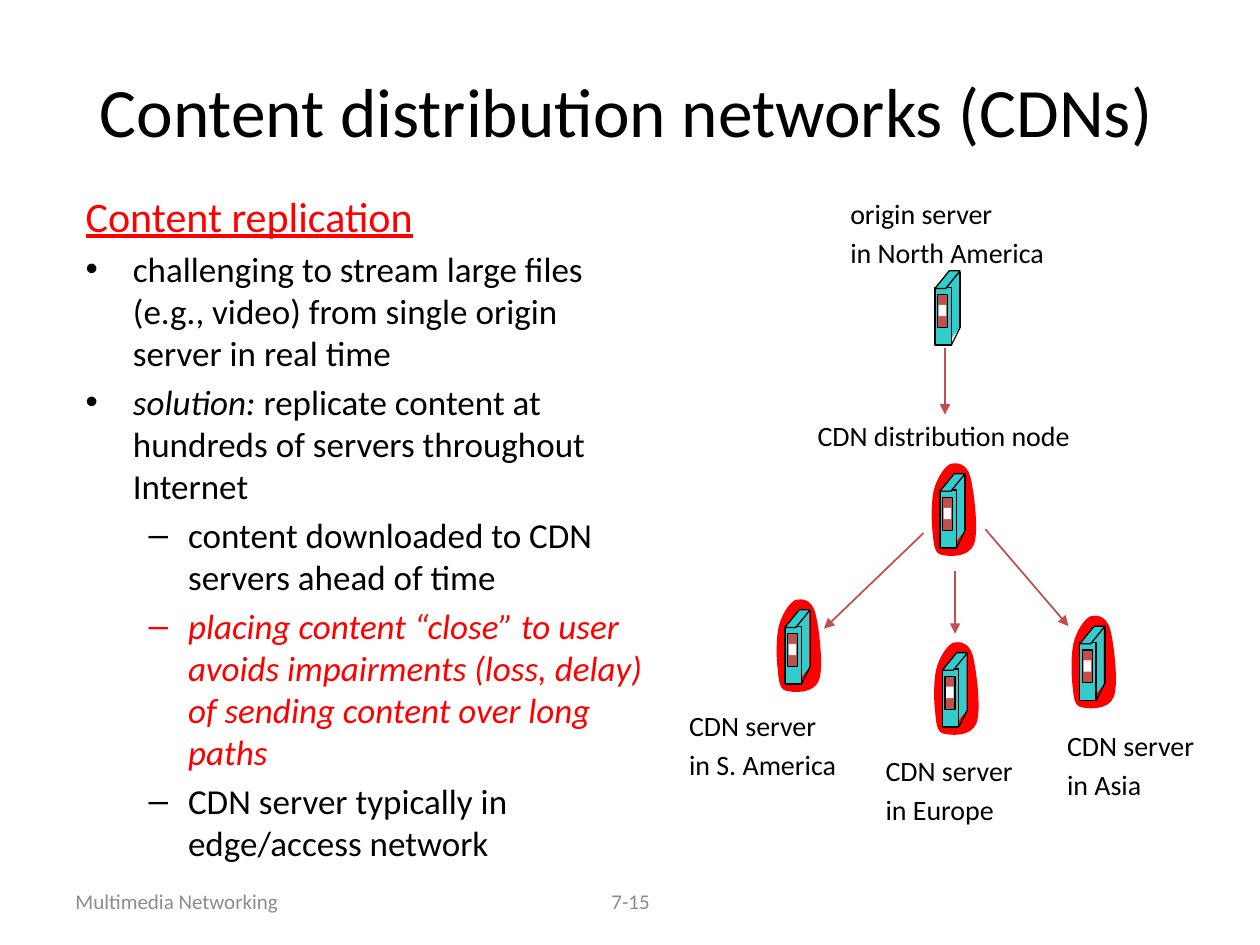
from dataclasses import dataclass
from typing import NamedTuple

from lxml.etree import SubElement
from pptx import Presentation
from pptx.dml.color import RGBColor as RGB
from pptx.enum.shapes import MSO_CONNECTOR as Link, MSO_SHAPE as Kind
from pptx.enum.text import MSO_ANCHOR as Anchor, MSO_AUTO_SIZE as Fit, PP_ALIGN as Align
from pptx.oxml.ns import qn
from pptx.util import Emu, Pt

SCALE = 9144  # EMU per px, 100 px to the inch


@dataclass(frozen=True)
class Theme:
    font: str = "Calibri"
    ink: RGB = RGB(0, 0, 0)
    red: RGB = RGB(255, 0, 0)
    teal: RGB = RGB(0x33, 0xCC, 0xCC)
    brick: RGB = RGB(0xC0, 0x50, 0x4D)
    white: RGB = RGB(255, 255, 255)
    gray: RGB = RGB(0x8C, 0x8C, 0x8C)
    title: float = 39.6
    head: float = 24
    body: float = 20
    label: float = 16
    foot: float = 12
    edge: float = 0.75
    arrow: float = 1


T = Theme()


class Box(NamedTuple):
    x: int
    y: int
    w: int
    h: int


class Run(NamedTuple):
    text: str
    size: float = T.body
    color: RGB = T.ink
    italic: bool = False
    line: bool = False


class Item(NamedTuple):
    runs: list[Run]
    level: int = 0


class Part(NamedTuple):
    kind: Kind
    box: Box
    fill: RGB
    edge: bool = False


class Node(NamedTuple):
    x: int
    y: int
    ring: bool = True


class Label(NamedTuple):
    box: Box
    lines: list[str]


SLANT, RECT = Kind.PARALLELOGRAM, Kind.RECTANGLE
BACK = [
    Part(SLANT, Box(7, 54, 20, 14), T.teal),
    Part(RECT, Box(17, 9, 9, 46), T.teal),
    Part(RECT, Box(7, 22, 13, 46), T.teal, True),
    Part(SLANT, Box(7, 9, 20, 14), T.teal, True),
]
EDGES = [(27, 10, 27, 54), (27, 54, 20, 68)]
FRONT = [
    Part(RECT, Box(9, 28, 8, 26), T.brick, True),
    Part(RECT, Box(10, 36, 6, 9), T.white),
]
START = (3, 19)
CURVES = [
    ((6, 10), (12, 2), (16, 1)),
    ((21, 0), (28, 1), (31, 11)),
    ((34, 22), (38, 55), (34, 65)),
    ((30, 76), (13, 75), (7, 73)),
    ((2, 71), (2, 63), (1, 54)),
    ((0, 45), (0, 27), START),
]
NODES = [Node(735, 206, False), Node(616, 475), Node(741, 509),
         Node(850, 488), Node(739, 367)]
ARROWS = [(750, 276, 750, 329), (733, 423, 654, 499),
          (758, 453, 758, 503), (782, 420, 848, 497)]
LABELS = [
    Label(Box(665, 151, 200, 69), ["origin server", "in North America"]),
    Label(Box(639, 327, 251, 37), ["CDN distribution node"]),
    Label(Box(537, 557, 158, 69), ["CDN server", "in S. America"]),
    Label(Box(693, 593, 141, 69), ["CDN server", "in Europe"]),
    Label(Box(837, 573, 141, 69), ["CDN server", "in Asia"]),
]
ITEMS = [
    Item([Run("Content replication", T.head, T.red, line=True)]),
    Item([Run("challenging to stream large files (e.g., video) from single "
              "origin server in real time")]),
    Item([Run("solution:", italic=True),
          Run(" replicate content at hundreds of servers throughout Internet")]),
    Item([Run("content downloaded to CDN servers ahead of time")], 1),
    Item([Run("placing content “close” to user avoids impairments (loss, delay) "
              "of sending content over long paths", color=T.red, italic=True)], 1),
    Item([Run("CDN server typically in edge/access network")], 1),
]


def px(*nums: float) -> list[Emu]:
    return [Emu(round(n * SCALE)) for n in nums]


def place(shape, box: Box) -> None:
    shape.left, shape.top, shape.width, shape.height = px(*box)


def write(frame, items: list[Item]) -> None:
    frame.word_wrap, frame.auto_size = True, Fit.NONE
    for i, item in enumerate(items):
        para = frame.add_paragraph() if i else frame.paragraphs[0]
        para.level = item.level
        for run in item.runs:
            part = para.add_run()
            part.text = run.text
            font = part.font
            font.name, font.size = T.font, Pt(run.size)
            font.color.rgb = run.color
            font.italic, font.underline = run.italic, run.line


def note(shapes, box: Box, lines: list[str], size: float, color: RGB):
    frame = shapes.add_textbox(*px(*box)).text_frame
    write(frame, [Item([Run(line, size, color)]) for line in lines])
    return frame


def stroke(shapes, ends: tuple, color: RGB, width: float, head: bool = False) -> None:
    line = shapes.add_connector(Link.STRAIGHT, *px(*ends))
    line.line.color.rgb, line.line.width = color, Pt(width)
    if head:
        SubElement(line.line._get_or_add_ln(), qn("a:tailEnd"), type="triangle")
    SubElement(line._element.spPr, qn("a:effectLst"))


def paint(shape, fill: RGB, edge: bool = False) -> None:
    shape.shadow.inherit = False
    shape.fill.solid()
    shape.fill.fore_color.rgb = fill
    if edge:
        shape.line.color.rgb, shape.line.width = T.ink, Pt(T.edge)
    else:
        shape.line.fill.background()


def ring(shapes, node: Node) -> None:
    """Draw the red blob, turning each three line points into one curve."""
    def spot(dot: tuple[int, int]) -> list[Emu]:
        return px(node.x + dot[0], node.y + dot[1])

    pen = shapes.build_freeform(*spot(START))
    pen.add_line_segments([spot(dot) for curve in CURVES for dot in curve])
    shape = pen.convert_to_shape()
    outline = next(shape._element.iter(qn("a:path")))
    lines = outline.findall(qn("a:lnTo"))
    for i in range(0, len(lines), 3):
        bend = SubElement(outline, qn("a:cubicBezTo"))
        for line in lines[i:i + 3]:
            bend.append(line[0])
            outline.remove(line)
    for end in outline.findall(qn("a:close")):
        outline.remove(end)
    SubElement(outline, qn("a:close"))
    paint(shape, T.red)


def block(shapes, node: Node, part: Part) -> None:
    box = part.box._replace(x=node.x + part.box.x, y=node.y + part.box.y)
    shape = shapes.add_shape(part.kind, *px(*box))
    if part.kind is SLANT:
        shape.adjustments[0] = 0.81
    paint(shape, part.fill, part.edge)


def server(shapes, node: Node) -> None:
    group = shapes.add_group_shape().shapes
    if node.ring:
        ring(group, node)
    for part in BACK:
        block(group, node, part)
    for a, b, c, d in EDGES:
        ends = (node.x + a, node.y + b, node.x + c, node.y + d)
        stroke(group, ends, T.ink, T.edge)
    for part in FRONT:
        block(group, node, part)


def main() -> None:
    deck = Presentation()
    deck.slide_width, deck.slide_height = px(1000, 750)
    slide = deck.slides.add_slide(deck.slide_layouts[1])
    shapes = slide.shapes
    title, body = slide.placeholders
    place(title, Box(58, 25, 878, 125))
    write(title.text_frame,
          [Item([Run("Content distribution networks (CDNs)", T.title)])])
    place(body, Box(58, 146, 469, 537))
    write(body.text_frame, ITEMS)
    SubElement(body.text_frame.paragraphs[0]._p.get_or_add_pPr(), qn("a:buNone"))

    for box, text, side in [
        (Box(50, 695, 233, 40), "Multimedia Networking", Align.LEFT),
        (Box(342, 695, 317, 40), "7-15", Align.CENTER),
    ]:
        frame = note(shapes, box, [text], T.foot, T.gray)
        frame.vertical_anchor = Anchor.MIDDLE
        frame.paragraphs[0].alignment = side
    for node in NODES:
        server(shapes, node)
    for label in LABELS:
        frame = note(shapes, label.box, label.lines, T.label, T.ink)
        for para in frame.paragraphs:
            para.space_before = Pt(T.label * 0.2)
    for ends in ARROWS:
        stroke(shapes, ends, T.brick, T.arrow, True)
    deck.save("out.pptx")


if __name__ == "__main__":
    main()
